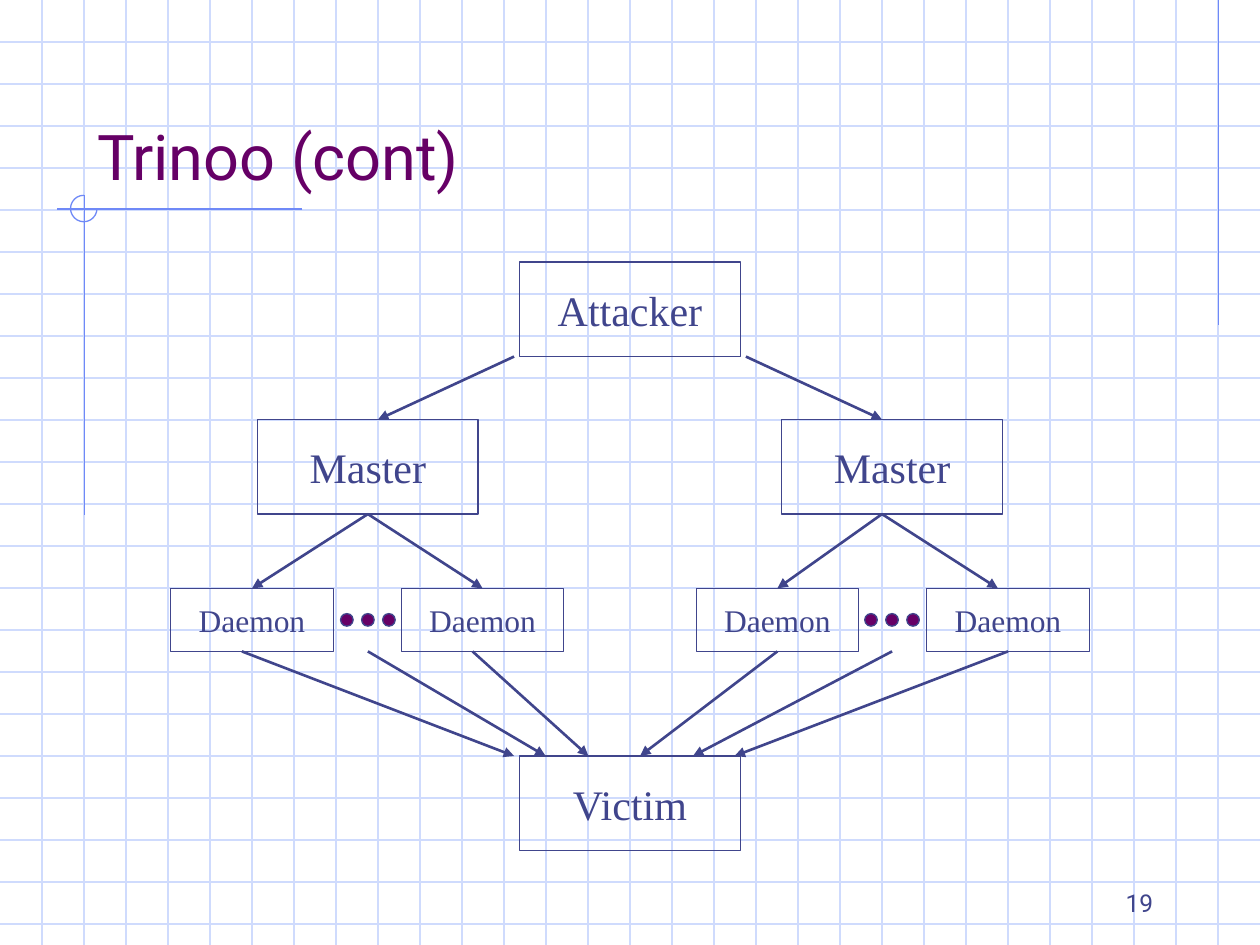
from pptx import Presentation
from pptx.dml.color import RGBColor
from pptx.enum.shapes import MSO_CONNECTOR, MSO_SHAPE
from pptx.enum.text import MSO_ANCHOR, PP_ALIGN
from pptx.oxml.ns import qn
from pptx.util import Inches, Pt
from lxml.etree import SubElement

GRID = RGBColor(0xCF, 0xDB, 0xFD)
ACCENT = RGBColor(0x6F, 0x89, 0xF7)
INK = RGBColor(0x40, 0x45, 0x8C)
PURPLE = RGBColor(0x66, 0x00, 0x66)
W, H = 10, 7.5

TITLE = "Trinoo (cont)"
PAGE = "19"
LARGE = (1.75, 0.75, 24)
SMALL = (1.29, 0.5, 18)
NODES = [
    ("Attacker", 5, 2.08, LARGE),
    ("Master", 2.92, 3.33, LARGE),
    ("Master", 7.08, 3.33, LARGE),
    ("Daemon", 2, 4.67, SMALL),
    ("Daemon", 3.83, 4.67, SMALL),
    ("Daemon", 6.17, 4.67, SMALL),
    ("Daemon", 8, 4.67, SMALL),
    ("Victim", 5, 6, LARGE),
]
DOT_CENTERS = [2.92, 7.08]
DOT_GAP, DOT_SIZE, DOT_TOP = 0.167, 0.1, 4.87
ARROW_ROWS = [
    (2.83, 3.33, [(4.08, 3), (5.92, 7)]),
    (4.08, 4.67, [(2.92, 2), (2.92, 3.83), (7, 6.17), (7, 7.92)]),
    (5.17, 6, [(1.92, 4.08), (2.92, 4.33), (3.75, 4.67),
               (6.17, 5.08), (7.08, 5.5), (8, 5.83)]),
]
ACCENT_LINES = [(9.67, 0, 9.67, 2.58), (2.4, 1.66, 0.45, 1.66), (0.67, 1.55, 0.67, 4.09)]


def add_line(s, x1, y1, x2, y2, color, width=0.75, arrow=False):
    line = s.shapes.add_connector(
        MSO_CONNECTOR.STRAIGHT, Inches(x1), Inches(y1), Inches(x2), Inches(y2))
    line.line.color.rgb = color
    line.line.width = Pt(width)
    if arrow:
        SubElement(line.line._get_or_add_ln(), qn("a:tailEnd"), type="triangle")
    SubElement(line._element.spPr, qn("a:effectLst"))


def add_shape(s, kind, x, y, w, h, color=INK, fill=None):
    sp = s.shapes.add_shape(kind, Inches(x), Inches(y), Inches(w), Inches(h))
    sp.shadow.inherit = False
    sp.line.color.rgb = color
    sp.line.width = Pt(0.75)
    if fill is None:
        sp.fill.background()
    else:
        sp.fill.solid()
        sp.fill.fore_color.rgb = fill
    return sp


def set_text(sp, text, size, font, color, align, anchor):
    tf = sp.text_frame
    tf.word_wrap = True
    tf.vertical_anchor = anchor
    p = tf.paragraphs[0]
    p.text = text
    p.alignment = align
    p.font.size = Pt(size)
    p.font.name = font
    p.font.color.rgb = color


def add_background(s):
    for i in range(1, 23):
        add_line(s, 0, i / 3, W, i / 3, GRID)
    for i in range(1, 30):
        add_line(s, i / 3, 0, i / 3, H, GRID)
    for ends in ACCENT_LINES:
        add_line(s, *ends, ACCENT)
    arc = add_shape(s, MSO_SHAPE.ARC, 0.56, 1.55, 0.21, 0.21, ACCENT)
    arc.adjustments[0] = 0
    arc.adjustments[1] = 162


def add_diagram(s):
    for label, center, top, (w, h, size) in NODES:
        box = add_shape(s, MSO_SHAPE.RECTANGLE, center - w / 2, top, w, h)
        set_text(box, label, size, "Times New Roman", INK,
                 PP_ALIGN.CENTER, MSO_ANCHOR.MIDDLE)
    for center in DOT_CENTERS:
        for step in (-1, 0, 1):
            add_shape(s, MSO_SHAPE.OVAL, center + step * DOT_GAP - DOT_SIZE / 2,
                      DOT_TOP, DOT_SIZE, DOT_SIZE, fill=PURPLE)
    for y1, y2, arrows in ARROW_ROWS:
        for x1, x2 in arrows:
            add_line(s, x1, y1, x2, y2, INK, 1.5, arrow=True)


def main():
    prs = Presentation()
    prs.slide_width, prs.slide_height = Inches(W), Inches(H)
    s = prs.slides.add_slide(prs.slide_layouts[5])
    add_background(s)

    title = s.shapes.title
    title.left, title.top = Inches(0.67), Inches(0.33)
    title.width, title.height = Inches(8.5), Inches(1.25)
    set_text(title, TITLE, 36, "Roboto", PURPLE, PP_ALIGN.LEFT, MSO_ANCHOR.BOTTOM)
    s.shapes._spTree.append(title._element)

    add_diagram(s)
    number = s.shapes.add_textbox(Inches(7.17), Inches(6.83), Inches(2.08), Inches(0.5))
    set_text(number, PAGE, 14, "Roboto", INK, PP_ALIGN.RIGHT, MSO_ANCHOR.BOTTOM)
    prs.save("out.pptx")


if __name__ == "__main__":
    main()
